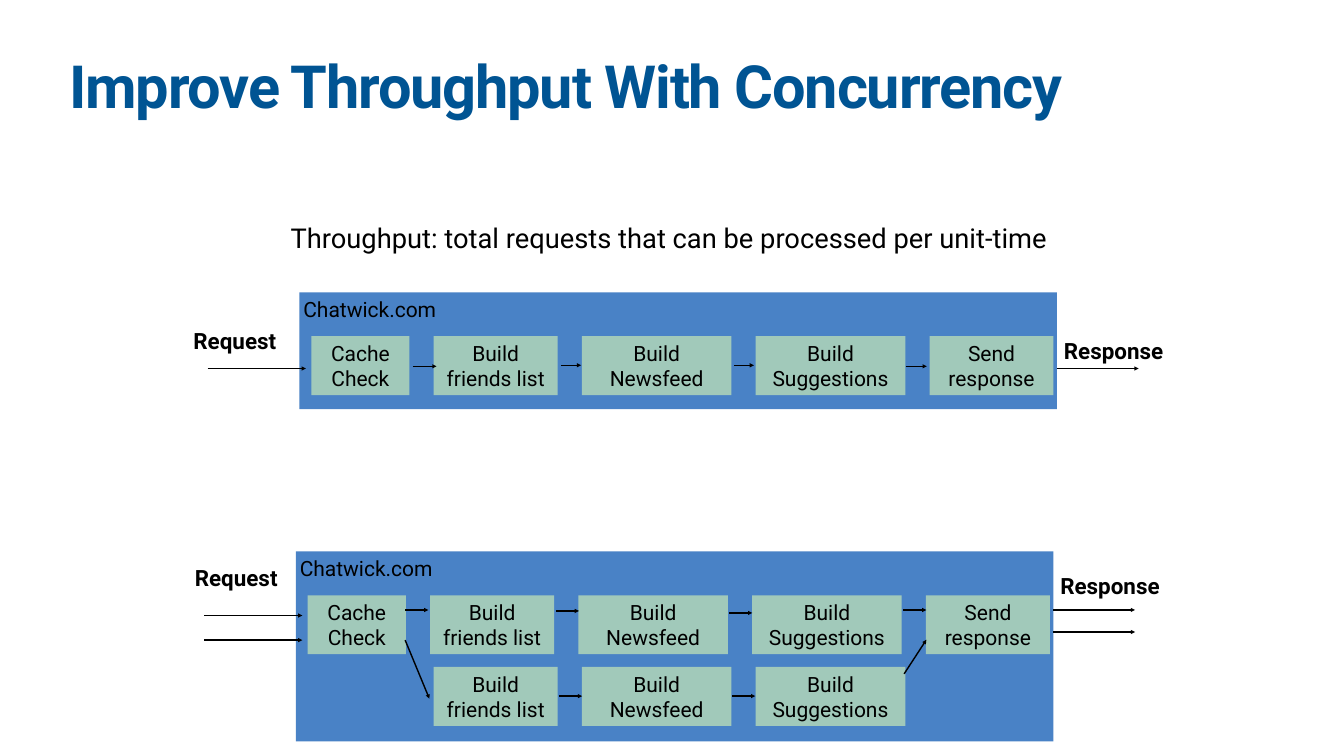
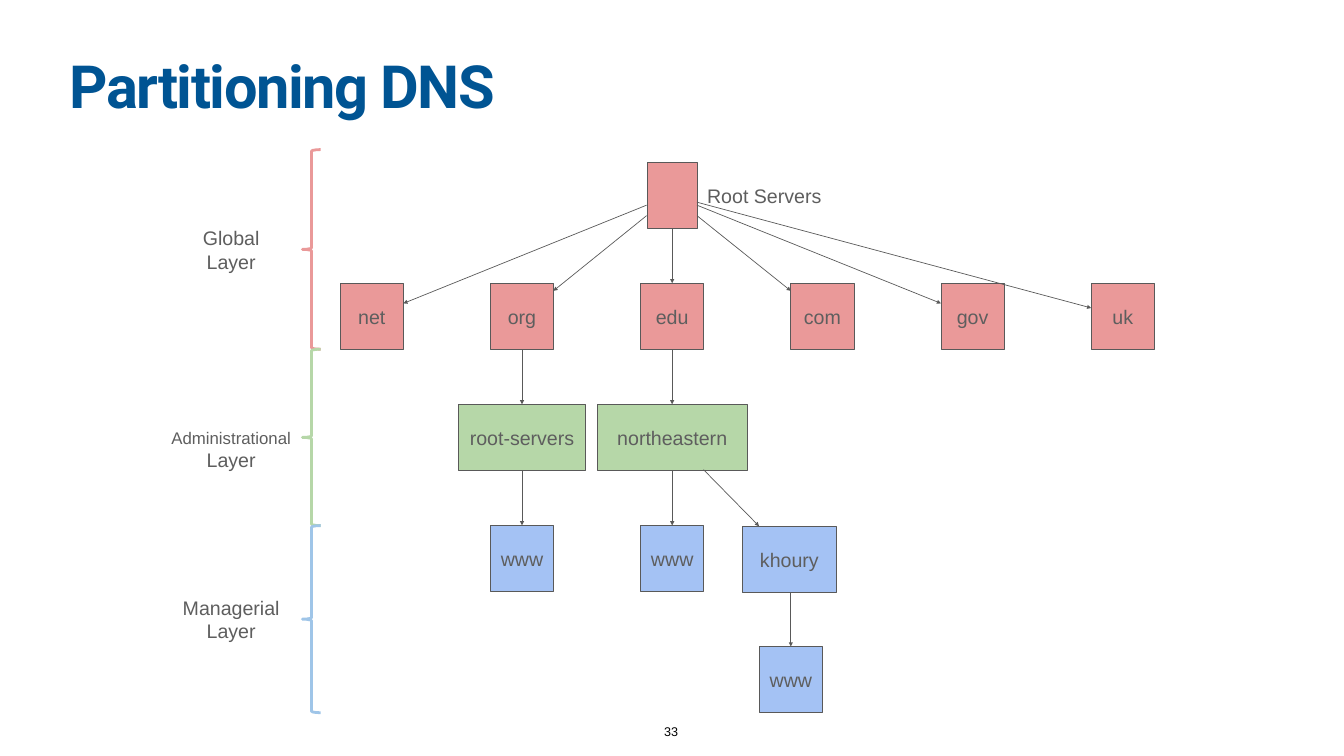
from dataclasses import dataclass
from itertools import pairwise

from pptx import Presentation
from pptx.dml.color import RGBColor
from pptx.enum.shapes import MSO_CONNECTOR as Link, MSO_SHAPE as Preset
from pptx.enum.text import MSO_ANCHOR as Anchor, PP_ALIGN as Align
from pptx.oxml.ns import qn
from pptx.util import Cm, Pt
from lxml.etree import SubElement


@dataclass(frozen=True)
class Theme:
    """Colours, fonts and type sizes shared by the slides."""
    heading: str = "Roboto"
    body: str = "Arial"
    title: str = "005493"
    ink: str = "000000"
    grey: str = "5E5E5E"
    outline: str = "595959"
    panel: str = "4982C6"
    stage: str = "A1C9BA"
    global_layer: str = "EA9999"
    admin_layer: str = "B6D7A8"
    managerial_layer: str = "A4C2F4"
    managerial_brace: str = "9FC5E8"
    title_size: int = 85
    lead_size: int = 39
    label_size: int = 32
    stage_size: int = 30
    node_size: int = 28
    small_size: int = 24
    number_size: int = 18


THEME = Theme()


@dataclass(frozen=True)
class Box:
    """A rectangle in centimetres."""
    left: float
    top: float
    width: float
    height: float

    def inside(self, left, top, width, height):
        """Return a box placed relative to this one."""
        return Box(self.left + left, self.top + top, width, height)

    def lengths(self):
        """Return the four measures as Cm."""
        return [Cm(v) for v in (self.left, self.top, self.width, self.height)]


def set_all(target, values):
    """Set every attribute named in a dict of format values."""
    for name, value in values.items():
        setattr(target, name, value)


def write(shape, lines, size, font=THEME.heading, colour=THEME.ink, bold=False,
          align=Align.CENTER, anchor=Anchor.MIDDLE, inset=0.2, wrap=True,
          line_spacing=None, tracking=None):
    """Fill a shape with paragraphs; a line may carry its own size."""
    frame = shape.text_frame
    margins = {f"margin_{side}": Cm(inset) for side in ("left", "right", "top", "bottom")}
    set_all(frame, {"word_wrap": wrap, "vertical_anchor": anchor, **margins})
    for index, line in enumerate([lines] if isinstance(lines, str) else lines):
        text, line_size = line if isinstance(line, tuple) else (line, size)
        paragraph = frame.add_paragraph() if index else frame.paragraphs[0]
        set_all(paragraph, {"alignment": align, "line_spacing": line_spacing})
        run = paragraph.add_run()
        run.text = text
        set_all(run.font, {"size": Pt(line_size), "name": font, "bold": bold})
        run.font.color.rgb = RGBColor.from_string(colour)
        if tracking:
            run.font._element.set("spc", str(tracking))


def add_label(slide, box, lines, size, **style):
    """Add free-standing text."""
    write(slide.shapes.add_textbox(*box.lengths()), lines, size, **style)


def add_block(slide, box, fill=None, outline=None, weight=1, preset=Preset.RECTANGLE):
    """Add a preset shape with an optional fill and outline."""
    block = slide.shapes.add_shape(preset, *box.lengths())
    block.shadow.inherit = False
    if fill:
        block.fill.solid()
        block.fill.fore_color.rgb = RGBColor.from_string(fill)
    else:
        block.fill.background()
    if outline:
        block.line.color.rgb = RGBColor.from_string(outline)
        block.line.width = Pt(weight)
    else:
        block.line.fill.background()
    return block


def add_arrow(slide, box, x1, y1, x2, y2, colour, weight):
    """Draw an arrow between two points relative to a box."""
    ends = (box.left + x1, box.top + y1, box.left + x2, box.top + y2)
    arrow = slide.shapes.add_connector(Link.STRAIGHT, *map(Cm, ends))
    arrow.line.color.rgb = RGBColor.from_string(colour)
    arrow.line.width = Pt(weight)
    SubElement(arrow.line._get_or_add_ln(), qn("a:tailEnd"), type="triangle")
    SubElement(arrow._element.spPr, qn("a:effectLst"))


def add_title(slide, box, text, tracking):
    """Add the slide title."""
    add_label(slide, box, text, THEME.title_size, colour=THEME.title, bold=True,
              align=Align.LEFT, anchor=Anchor.TOP, inset=0.15, line_spacing=0.8,
              tracking=tracking)


STAGES = [("Cache Check", 4.95), ("Build friends list", 6.25), ("Build Newsfeed", 7.54),
          ("Build Suggestions", 7.54), ("Send response", 6.25)]
STAGE_GAP, STAGE_HEIGHT, STAGE_TOP = 1.22, 2.97, 2.21


def add_stages(slide, box, first, last):
    """Lay a run of stages out with equal gaps."""
    left = 0.6
    for index, (text, width) in enumerate(STAGES):
        if first <= index <= last:
            stage = add_block(slide, box.inside(left, 0, width, STAGE_HEIGHT), THEME.stage)
            write(stage, text, THEME.stage_size)
        left += width + STAGE_GAP


def add_pipeline(slide, box, request_at, response_top, request_lanes, response_lanes,
                 steps, parallel=False):
    """Draw a site panel with its stages, traffic and step arrows."""
    write(add_block(slide, box, THEME.panel), "Chatwick.com", THEME.stage_size,
          align=Align.LEFT, anchor=Anchor.TOP)
    add_stages(slide, box.inside(0, STAGE_TOP, box.width, STAGE_HEIGHT), 0, 4)
    if parallel:
        add_stages(slide, box.inside(0.18, 5.82, box.width, STAGE_HEIGHT), 1, 3)
    labels = [("Request", *request_at, 4.9),
              ("Response", box.width - 0.05, response_top, 5.82)]
    for text, left, top, width in labels:
        add_label(slide, box.inside(left, top, width, 1.75), text, THEME.label_size,
                  bold=True, wrap=False)
    incoming = [(-4.62, y, 0.33, y) for y in request_lanes]
    outgoing = [(box.width, y, box.width + 4.12, y) for y in response_lanes]
    for ends in incoming + outgoing + steps:
        add_arrow(slide, box, *ends, THEME.ink, 2)


def build_throughput(slide, page):
    """Compare a serial pipeline with a concurrent one."""
    add_title(slide, page.inside(3.35, 3, 61.04, 3.99),
              "Improve Throughput With Concurrency", -170)
    add_label(slide, page.inside(14.23, 11.06, 38.96, 1.85),
              "Throughput: total requests that can be processed per unit-time",
              THEME.lead_size, inset=0.15, wrap=False)
    serial_steps = [(5.72, 3.73, 6.91, 3.73), (13.21, 3.68, 14.2, 3.68),
                    (21.92, 3.68, 22.91, 3.68), (30.56, 3.73, 31.62, 3.73)]
    add_pipeline(slide, page.inside(15.09, 14.73, 38.18, 5.89), (-5.7, 1.55), 2.06,
                 [3.84], [3.84], serial_steps)
    concurrent_steps = [(5.51, 2.95, 6.68, 2.95), (13.11, 3, 14.27, 3),
                        (21.84, 3.1, 23.01, 3.1), (30.61, 2.95, 31.78, 2.95),
                        (5.51, 4.47, 6.73, 7.42), (13.26, 7.29, 14.43, 7.29),
                        (22, 7.29, 23.16, 7.29), (30.66, 6.17, 31.78, 4.45)]
    add_pipeline(slide, page.inside(14.91, 27.79, 38.18, 9.58), (-5.45, 0.43), 0.86,
                 [3.23, 4.47], [2.95, 4.06], concurrent_steps, parallel=True)


ROW_PITCH, COLUMN_PITCH = 6.1, 7.57
NODE_WIDTH, NODE_HEIGHT = 3.18, 3.33


def column_centre(column):
    """Return the centre of a tree column."""
    return NODE_WIDTH / 2 + column * COLUMN_PITCH


def add_domain_tree(slide, box):
    """Draw the name servers and the delegations between them."""
    domains = ["net", "org", "edu", "com", "gov", "uk"]
    nodes = [("", 2, 0, 2.51, THEME.global_layer)]
    nodes += [(name, column, 1, NODE_WIDTH, THEME.global_layer)
              for column, name in enumerate(domains)]
    nodes += [("root-servers", 1, 2, 6.43, THEME.admin_layer),
              ("northeastern", 2, 2, 7.57, THEME.admin_layer),
              ("www", 1, 3, NODE_WIDTH, THEME.managerial_layer),
              ("www", 2, 3, NODE_WIDTH, THEME.managerial_layer),
              ("khoury", 2.78, 3.01, 4.75, THEME.managerial_layer),
              ("www", 2.79, 4, NODE_WIDTH, THEME.managerial_layer)]
    for text, column, row, width, fill in nodes:
        place = box.inside(column_centre(column) - width / 2, row * ROW_PITCH,
                           width, NODE_HEIGHT)
        node = add_block(slide, place, fill, THEME.outline)
        if text:
            write(node, text, THEME.node_size, THEME.body, THEME.grey)
    add_label(slide, box.inside(17.98, 0.61, 8.43, 2.11), "Root Servers", THEME.node_size,
              font=THEME.body, colour=THEME.grey, align=Align.LEFT, inset=0.51)
    drops = [(2, 0), (1, 1), (2, 1), (1, 2), (2, 2), (2.79, 3.01)]
    delegations = [(column_centre(column), row * ROW_PITCH + NODE_HEIGHT,
                    column_centre(column), (int(row) + 1) * ROW_PITCH)
                   for column, row in drops]
    delegations += [(15.44, 2.16, 3.18, 7.11), (15.44, 2.69, 10.74, 6.48),
                    (17.98, 2.69, 22.71, 6.48), (17.98, 2.16, 30.28, 7.11),
                    (17.98, 2.01, 37.85, 7.34), (18.31, 15.49, 21.11, 18.34)]
    for ends in delegations:
        add_arrow(slide, box, *ends, THEME.outline, 1)


def add_layers(slide, box):
    """Bracket the tree into its three named layers."""
    edges = [0, 10.06, 18.95, box.height]
    layers = [("Global", THEME.node_size, 0, THEME.global_layer),
              ("Administrational", THEME.small_size, 0.6, THEME.admin_layer),
              ("Managerial", THEME.node_size, 0, THEME.managerial_brace)]
    for (top, bottom), (name, size, drop, colour) in zip(pairwise(edges), layers):
        add_block(slide, box.inside(7.3, top, 0.92, bottom - top), outline=colour,
                  weight=4, preset=Preset.LEFT_BRACE)
        middle = (top + bottom) / 2 + drop
        add_label(slide, box.inside(0, middle - 1.62, 7.42, 3.24),
                  [(name, size), "Layer"], THEME.node_size,
                  font=THEME.body, colour=THEME.grey, inset=0.5)


def build_partitioning(slide, page):
    """Show the DNS tree split into layers."""
    add_title(slide, page.inside(3.35, 3, 61.04, 3.99), "Partitioning DNS", -200)
    add_domain_tree(slide, page.inside(17.15, 8.18, 41.03, 27.73))
    add_layers(slide, page.inside(7.94, 7.54, 8.22, 28.38))
    add_label(slide, page.inside(33.32, 36.35, 1.02, 1.04), "33", THEME.number_size,
              font=THEME.body, anchor=Anchor.BOTTOM, inset=0.15, wrap=False)


def main():
    """Build and save the slides."""
    deck = Presentation()
    page = Box(0, 0, 67.74, 38.1)
    set_all(deck, {"slide_width": Cm(page.width), "slide_height": Cm(page.height)})
    for build in (build_throughput, build_partitioning):
        build(deck.slides.add_slide(deck.slide_layouts[6]), page)
    deck.save("out.pptx")


if __name__ == "__main__":
    main()
